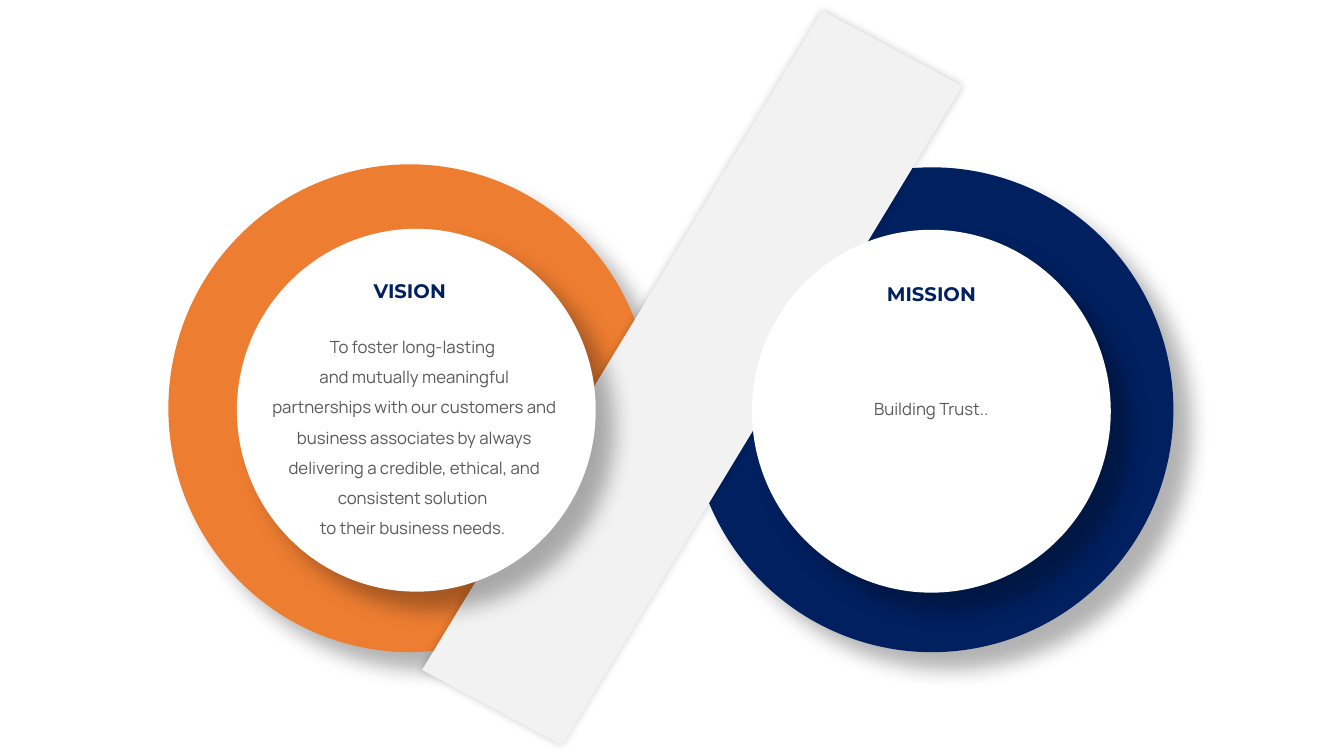
from lxml import etree
from pptx import Presentation, util as u
from pptx.dml.color import RGBColor
from pptx.enum import shapes, text
from pptx.oxml.ns import qn

ORANGE, NAVY, PALE, WHITE, GREY = "ED7D31", "002060", "F2F2F2", "FFFFFF", "595959"

presentation = Presentation()
presentation.slide_width = u.Inches(13.33)
presentation.slide_height = u.Inches(7.5)
slide = presentation.slides.add_slide(presentation.slide_layouts[6])

# Places and sizes are percentages of the slide
COLUMN = presentation.slide_width / 100
ROW = presentation.slide_height / 100


def add_shape(kind, center_x, center_y, width, height, color,
              opacity=30, blur=15, distance=18, direction=45):
    """Filled shape around a centre point, with an outer shadow."""
    shape = slide.shapes.add_shape(
        kind, int((center_x - width / 2) * COLUMN), int((center_y - height / 2) * ROW),
        int(width * COLUMN), int(height * ROW))
    shape.fill.solid()
    shape.fill.fore_color.rgb = RGBColor.from_string(color)
    shape.line.fill.background()
    shape.shadow.inherit = False
    effects = shape._element.spPr.find(qn("a:effectLst"))
    shadow = etree.SubElement(
        effects, qn("a:outerShdw"), blurRad=str(u.Pt(blur)), dist=str(u.Pt(distance)),
        dir=str(direction * 60000), algn="ctr", rotWithShape="0")
    black = etree.SubElement(shadow, qn("a:srgbClr"), val="000000")
    etree.SubElement(black, qn("a:alpha"), val=str(opacity * 1000))
    return shape


def add_text(paragraphs, center_x, center_y, width, height, font="Manrope",
             size=12, color=GREY, bold=False, spacing=1.0):
    """Centred text box around a centre point."""
    box = slide.shapes.add_textbox(
        int((center_x - width / 2) * COLUMN), int((center_y - height / 2) * ROW),
        int(width * COLUMN), int(height * ROW))
    frame = box.text_frame
    frame.word_wrap = True
    frame.auto_size = text.MSO_AUTO_SIZE.SHAPE_TO_FIT_TEXT
    frame.text = "\n".join(paragraphs)
    for paragraph in frame.paragraphs:
        paragraph.alignment = text.PP_ALIGN.CENTER
        paragraph.line_spacing = spacing
        paragraph.font.name = font
        paragraph.font.size = u.Pt(size)
        paragraph.font.bold = bold
        paragraph.font.color.rgb = RGBColor.from_string(color)


# Coloured rings
OVAL = shapes.MSO_SHAPE.OVAL
add_shape(OVAL, 30.49, 54, 35.93, 64.53, ORANGE)
add_shape(OVAL, 69.34, 54.2, 35.93, 64.13, NAVY)

# Slanted band between the rings
band = add_shape(shapes.MSO_SHAPE.FLOWCHART_DATA, 51.5, 50, 14.78, 101.87, PALE,
                 opacity=20, blur=6, distance=0, direction=225)
band.rotation = 28.3

# White discs
for center_x, center_y in [(30.98, 54.27), (69.3, 54.4)]:
    add_shape(OVAL, center_x, center_y, 26.7, 48, WHITE)

# Headings
for heading, center_x, center_y in [("VISION", 30.49, 38.53), ("MISSION", 69.3, 38.93)]:
    add_text([heading], center_x, center_y, 13.13, 4.53,
             font="Montserrat", size=14, color=NAVY, bold=True)

# Statements
vision = [
    "To foster long-lasting ",
    "and mutually meaningful partnerships with our customers and business "
    "associates by always delivering a credible, ethical, and consistent solution ",
    "to their business needs. ",
]
add_text(vision, 30.83, 57.13, 22.65, 29.2, spacing=1.5)
add_text(["Building Trust.."], 69.3, 54.13, 22.65, 4)

presentation.save("out.pptx")
